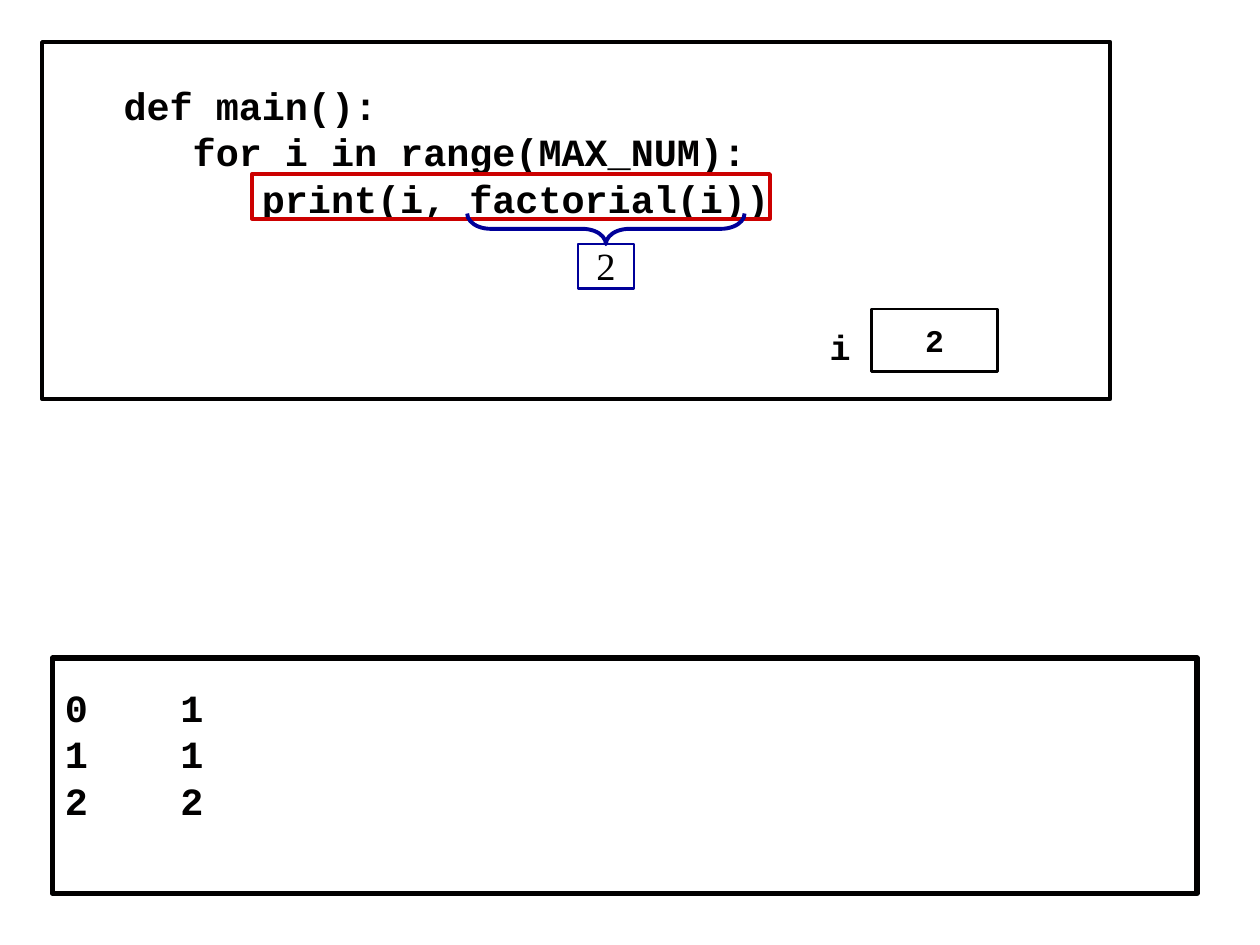
from pptx import Presentation
from pptx.dml.color import RGBColor
from pptx.enum.shapes import MSO_SHAPE as Shape
from pptx.enum.text import MSO_ANCHOR as Anchor, PP_ALIGN as Align
from pptx.util import Pt
from lxml.etree import SubElement
from pptx.oxml.ns import qn

COLORS = {"ink": "010000", "paper": "FFFFFF", "highlight": "CC0000", "result": "000099"}
CODE_FONT = "Courier New"
CODE_SIZE = 22
CHAR_WIDTH = 0.6 * CODE_SIZE
CODE = [
    "   def main():",
    "      for i in range(MAX_NUM):",
    "         print(i, factorial(i))",
]
OUTPUT = [(0, 1), (1, 1), (2, 2)]


def rgb(name):
    return RGBColor.from_string(COLORS[name])


def add_outline(slide, box, color, weight, fill=None, preset=Shape.RECTANGLE):
    shape = slide.shapes.add_shape(preset, *map(Pt, box))
    shape.shadow.inherit = False
    shape.line.color.rgb = rgb(color)
    shape.line.width = Pt(weight)
    if fill:
        shape.fill.solid()
        shape.fill.fore_color.rgb = rgb(fill)
    else:
        shape.fill.background()
    return shape


def write_lines(shape, lines, size=CODE_SIZE, font=CODE_FONT, bold=True,
                align=Align.LEFT, anchor=Anchor.MIDDLE, top=3.6, tab=None):
    frame = shape.text_frame
    frame.word_wrap = True
    frame.vertical_anchor = anchor
    frame.margin_top = Pt(top)
    for index, line in enumerate(lines):
        paragraph = frame.paragraphs[0] if index == 0 else frame.add_paragraph()
        paragraph.alignment = align
        if tab:
            stops = SubElement(paragraph._p.get_or_add_pPr(), qn("a:tabLst"))
            SubElement(stops, qn("a:tab"), pos=str(Pt(tab)), algn="l")
        run = paragraph.add_run()
        run.text = line
        run.font.name = font
        run.font.size = Pt(size)
        run.font.bold = bold
        run.font.color.rgb = rgb("ink")


def add_variable(slide, left, top, name, value):
    """Draw a variable's name to the left of the box that holds its value."""
    cell = add_outline(slide, (left, top, 72, 36), "ink", 1.5, "paper")
    write_lines(cell, [value], size=18, align=Align.CENTER)
    label = slide.shapes.add_textbox(Pt(left - 31), Pt(top + 6), Pt(36), Pt(31))
    write_lines(label, [name], size=20, anchor=Anchor.TOP)


def add_call_result(slide, left, top, width, value):
    """Draw a brace under a call and the value it returns below the brace."""
    depth = 17.5
    center = left + width / 2
    middle = top + depth / 2
    brace = add_outline(slide, (center - depth / 2, middle - width / 2, depth, width),
                        "result", 2.25, preset=Shape.LEFT_BRACE)
    brace.rotation = 270
    brace.adjustments[0] = 0.77
    answer = add_outline(slide, (center - 16, top + depth, 32, 25.5), "result", 1.5)
    write_lines(answer, [value], font="Times New Roman", bold=False,
                align=Align.CENTER, top=1.5)


def add_code_panel(slide, left, top, width, height):
    panel = add_outline(slide, (left, top, width, height), "ink", 2.25, "paper")
    write_lines(panel, CODE, anchor=Anchor.TOP, top=23)
    add_variable(slide, left + 474, top + 152.5, "i", "2")
    add_outline(slide, (left + 120, top + 75.5, 296, 25.5), "highlight", 2.25)
    add_call_result(slide, left + 243, top + 98, 158.5, "2")


def add_output_panel(slide, left, top, width, height):
    panel = add_outline(slide, (left, top, width, height), "ink", 3)
    rows = [f"{number}\t{factorial}" for number, factorial in OUTPUT]
    write_lines(panel, rows, anchor=Anchor.TOP, top=15, tab=5 * CHAR_WIDTH)


def main():
    deck = Presentation()
    deck.slide_width, deck.slide_height = Pt(720), Pt(540)
    slide = deck.slides.add_slide(deck.slide_layouts[6])
    add_code_panel(slide, 24, 24, 610.5, 204)
    add_output_panel(slide, 30, 376, 654, 134.5)
    deck.save("out.pptx")


if __name__ == "__main__":
    main()
